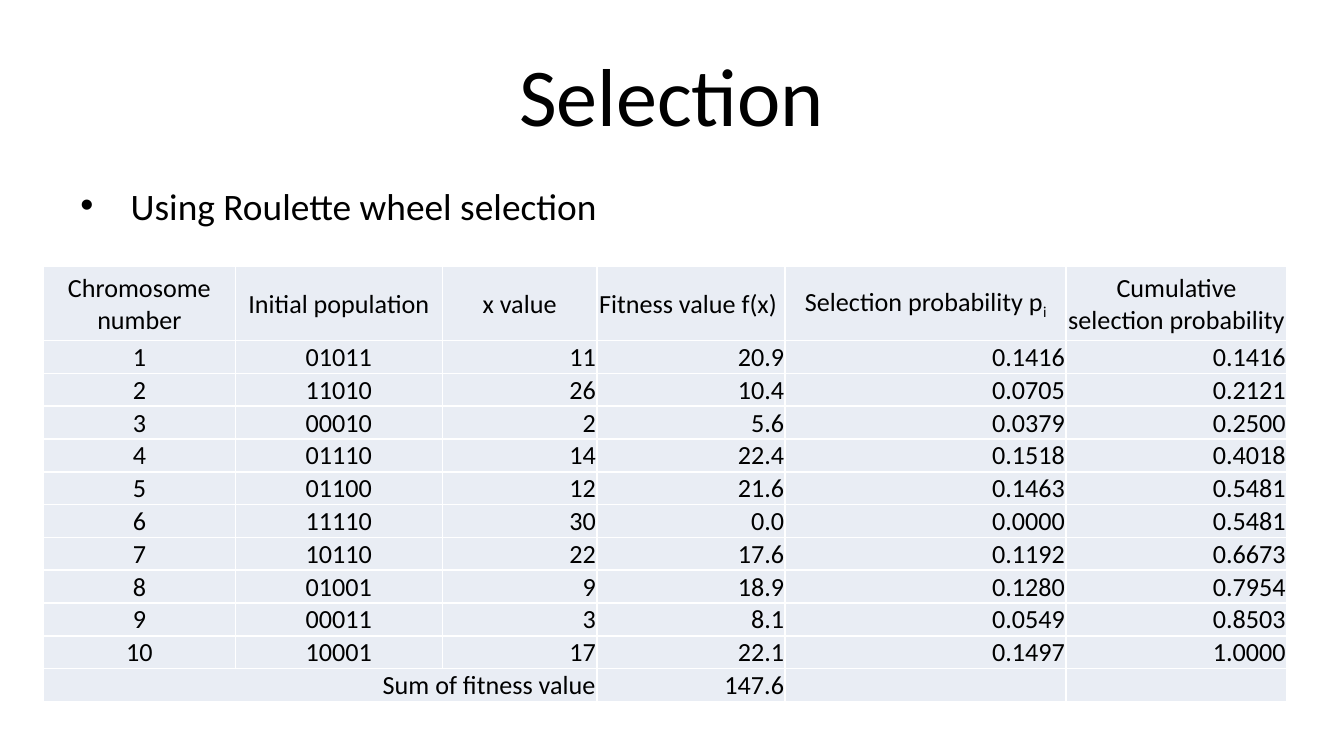
from lxml.etree import SubElement
from pptx import Presentation
from pptx.dml.color import RGBColor
from pptx.enum.text import MSO_ANCHOR, PP_ALIGN
from pptx.oxml.ns import qn
from pptx.util import Cm, Pt

COLORS = {"text": "000000", "cell": "E9EDF4", "border": "FFFFFF"}
FONT = "Calibri"
TABLE_SIZE = 14

COLUMN_WIDTHS = [3.63, 3.91, 2.92, 3.56, 5.31, 4.17]
HEADER_HEIGHT = 1.4
ROW_HEIGHT = 0.62
HEADERS = [
    "Chromosome number",
    "Initial population",
    "x value",
    "Fitness value f(x) ",
    "Selection probability p",
    "Cumulative selection probability ",
]
CHROMOSOMES = [
    ["1", "01011", "11", "20.9", "0.1416", "0.1416"],
    ["2", "11010", "26", "10.4", "0.0705", "0.2121"],
    ["3", "00010", "2", "5.6", "0.0379", "0.2500"],
    ["4", "01110", "14", "22.4", "0.1518", "0.4018"],
    ["5", "01100", "12", "21.6", "0.1463", "0.5481"],
    ["6", "11110", "30", "0.0", "0.0000", "0.5481"],
    ["7", "10110", "22", "17.6", "0.1192", "0.6673"],
    ["8", "01001", "9", "18.9", "0.1280", "0.7954"],
    ["9", "00011", "3", "8.1", "0.0549", "0.8503"],
    ["10", "10001", "17", "22.1", "0.1497", "1.0000"],
]
TOTAL = ["Sum of fitness value", "", "", "147.6", "", ""]


def format_runs(paragraph, size):
    for run in paragraph.runs:
        run.font.name = FONT
        run.font.size = Pt(size)
        run.font.color.rgb = RGBColor.from_string(COLORS["text"])


def add_text(slide, box, text, size):
    shape = slide.shapes.add_textbox(*map(Cm, box))
    shape.text_frame.word_wrap = True
    paragraph = shape.text_frame.paragraphs[0]
    paragraph.text = text
    format_runs(paragraph, size)
    return shape


def add_title(slide, box):
    shape = add_text(slide, box, "Selection", 44)
    shape.text_frame.vertical_anchor = MSO_ANCHOR.MIDDLE
    shape.text_frame.paragraphs[0].alignment = PP_ALIGN.CENTER


def add_bullet(slide, box):
    shape = add_text(slide, box, "Using Roulette wheel selection", 20)
    properties = shape.text_frame.paragraphs[0]._p.get_or_add_pPr()
    properties.set("marL", str(Cm(0.95)))
    properties.set("indent", str(-Cm(0.95)))
    SubElement(properties, qn("a:buFont"), typeface="Arial")
    SubElement(properties, qn("a:buChar"), char="•")


def style_cell(cell, alignment, anchor):
    cell.margin_left = cell.margin_right = cell.margin_top = Cm(0.02)
    cell.margin_bottom = Cm(0)
    cell.vertical_anchor = anchor
    properties = cell._tc.get_or_add_tcPr()
    for side in ("lnL", "lnR", "lnT", "lnB"):
        line = SubElement(properties, qn(f"a:{side}"), w=str(Pt(1)))
        fill = SubElement(line, qn("a:solidFill"))
        SubElement(fill, qn("a:srgbClr"), val=COLORS["border"])
    cell.fill.solid()
    cell.fill.fore_color.rgb = RGBColor.from_string(COLORS["cell"])
    paragraph = cell.text_frame.paragraphs[0]
    paragraph.alignment = alignment
    format_runs(paragraph, TABLE_SIZE)
    if not paragraph.runs:
        SubElement(paragraph._p, qn("a:endParaRPr"), sz=str(TABLE_SIZE * 100))


def add_selection_table(slide, box):
    rows = [HEADERS, *CHROMOSOMES, TOTAL]
    last = len(rows) - 1
    frame = slide.shapes.add_table(len(rows), len(HEADERS), *map(Cm, box))
    table = frame.table
    table.first_row = table.horz_banding = False
    for column, width in zip(table.columns, COLUMN_WIDTHS):
        column.width = Cm(width)
    for row_index, values in enumerate(rows):
        header = row_index == 0
        table.rows[row_index].height = Cm(HEADER_HEIGHT if header else ROW_HEIGHT)
        anchor = MSO_ANCHOR.MIDDLE if header else MSO_ANCHOR.BOTTOM
        for column_index, value in enumerate(values):
            cell = table.cell(row_index, column_index)
            paragraph = cell.text_frame.paragraphs[0]
            if value:
                paragraph.text = value
            if header and value.endswith(" p"):
                subscript = paragraph.add_run()
                subscript.text = "i"
                subscript._r.get_or_add_rPr().set("baseline", "-25000")
            centered = header or (column_index < 2 and row_index < last)
            style_cell(cell, PP_ALIGN.CENTER if centered else PP_ALIGN.RIGHT, anchor)
    table.cell(last, 0).merge(table.cell(last, 2))


def main():
    presentation = Presentation()
    presentation.slide_width = Cm(25.4)
    presentation.slide_height = Cm(14.29)
    slide = presentation.slides.add_slide(presentation.slide_layouts[6])
    add_title(slide, (1.27, 0.58, 22.86, 2.39))
    add_bullet(slide, (1.27, 3.33, 22.86, 9.42))
    add_selection_table(slide, (0.82, 5.04, 23.5, 8.22))
    presentation.save("out.pptx")


if __name__ == "__main__":
    main()
